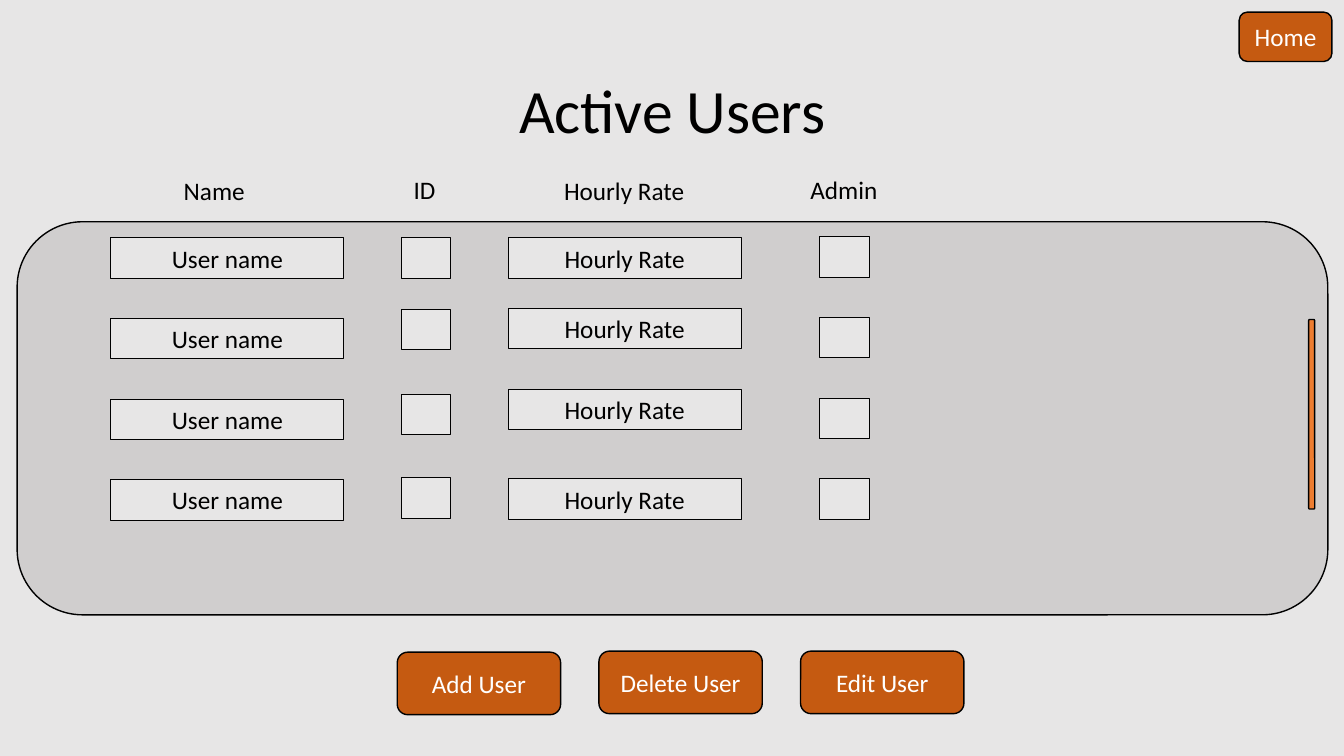
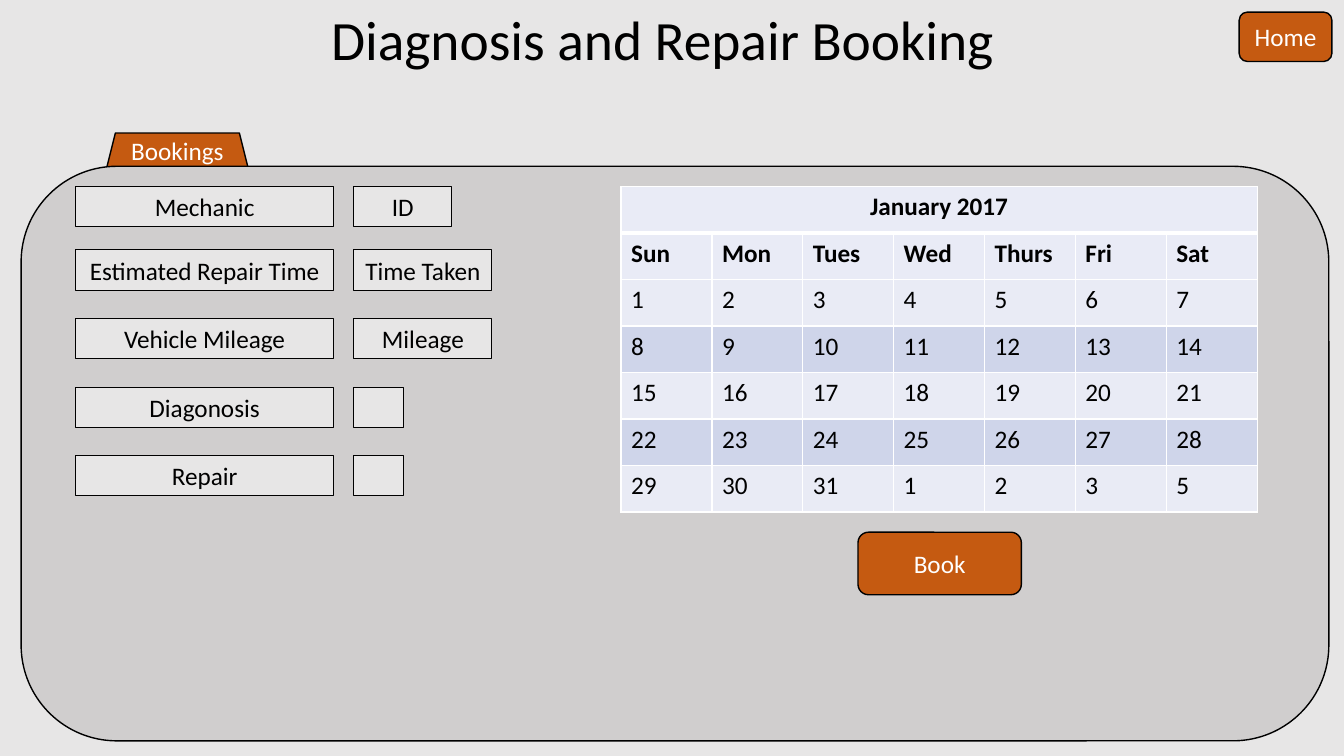
from pptx import Presentation
from pptx.dml.color import RGBColor
from pptx.enum.shapes import MSO_SHAPE
from pptx.enum.text import MSO_ANCHOR, MSO_AUTO_SIZE, PP_ALIGN
from pptx.oxml.ns import qn
from pptx.util import Inches, Pt
from lxml.etree import SubElement

FONT = "Calibri"
COLORS = {
    "page": "E7E6E6", "panel": "D0CECE", "button": "C55A11", "scroll": "ED7D31",
    "ink": "000000", "white": "FFFFFF",
    "header": "E9EBF6", "light": "E9EBF5", "dark": "CFD5EA",
}

# Column heading with its box, then cell text, left, width and row tops
USER_COLUMNS = [
    ("Name", (1.71, 1.69, 0.83), "User name", 1.1, 2.31, (2.36, 3.16, 3.96, 4.76)),
    ("ID", (3.75, 1.68, 0.92), "", 3.98, 0.49, (2.36, 3.07, 3.91, 4.74)),
    ("Hourly Rate", (5.32, 1.69, 1.74), "Hourly Rate", 5.04, 2.31, (2.36, 3.06, 3.86, 4.75)),
    ("Admin", (7.91, 1.68, 0.92), "", 8.13, 0.49, (2.35, 3.15, 3.95, 4.75)),
]
USER_BUTTONS = [("Add User", 6.47), ("Delete User", 6.46), ("Edit User", 6.46)]

# Label, value, value width, top
BOOKING_FIELDS = [
    ("Mechanic", "ID", 0.97, 1.85),
    ("Estimated Repair Time", "Time Taken", 1.37, 2.48),
    ("Vehicle Mileage", "Mileage", 1.37, 3.16),
    ("Diagonosis", "", 0.49, 3.84),
    ("Repair", "", 0.49, 4.52),
]
MONTH = "January 2017"
WEEKDAYS = ["Sun", "Mon", "Tues", "Wed", "Thurs", "Fri", "Sat"]
DAYS = [*range(1, 32), 1, 2, 3, 5]

FIELD_H = 0.4
BUTTON_W, BUTTON_H = 1.62, 0.62


def rgb(name):
    """Return a palette colour."""
    return RGBColor.from_string(COLORS[name])


def style(p, color="ink", size=18, bold=False, align=PP_ALIGN.CENTER):
    """Format a whole paragraph."""
    p.alignment = align
    p.font.name, p.font.size, p.font.bold = FONT, Pt(size), bold
    p.font.color.rgb = rgb(color)


def add_box(slide, kind, box, fill, text="", line=1, color="ink"):
    """Add a filled shape, with an outline unless line is 0."""
    sp = slide.shapes.add_shape(kind, *map(Inches, box))
    sp.shadow.inherit = False
    sp.fill.solid()
    sp.fill.fore_color.rgb = rgb(fill)
    if line:
        sp.line.color.rgb = rgb("ink")
        sp.line.width = Pt(line)
    else:
        sp.line.fill.background()
    if text:
        tf = sp.text_frame
        tf.word_wrap = False
        tf.text = text
        style(tf.paragraphs[0], color)


def add_field(slide, left, top, width, text="", line=0.75):
    """Add a one-line form field or heading."""
    add_box(slide, MSO_SHAPE.RECTANGLE, (left, top, width, FIELD_H), "page", text, line)


def add_button(slide, text, left, top, width=BUTTON_W, height=BUTTON_H):
    """Add an orange rounded button."""
    add_box(slide, MSO_SHAPE.ROUNDED_RECTANGLE, (left, top, width, height),
            "button", text, color="white")


def add_panel(slide, *box):
    """Add the large rounded panel."""
    add_box(slide, MSO_SHAPE.ROUNDED_RECTANGLE, box, "panel")


def add_page(prs, title, box, size):
    """Add a slide with its title and Home button."""
    slide = prs.slides.add_slide(prs.slide_layouts[5])
    sp = slide.shapes.title
    sp.left, sp.top, sp.width, sp.height = map(Inches, box)
    tf = sp.text_frame
    tf.text = title
    tf.word_wrap = True
    tf.auto_size = MSO_AUTO_SIZE.NONE
    tf.vertical_anchor = MSO_ANCHOR.MIDDLE
    p = tf.paragraphs[0]
    style(p, size=size)
    p.line_spacing = 0.9
    add_button(slide, "Home", 12.29, 0.12, 0.92, 0.49)
    return slide


def add_borders(cell, top=1, bottom=1):
    """Draw white cell borders with the given top and bottom widths."""
    tc_pr = cell._tc.get_or_add_tcPr()
    for side, width in (("L", 1), ("R", 1), ("T", top), ("B", bottom)):
        ln = SubElement(tc_pr, qn(f"a:ln{side}"), w=str(Pt(width)))
        fill = SubElement(ln, qn("a:solidFill"))
        SubElement(fill, qn("a:srgbClr"), val=COLORS["white"])


def add_calendar(slide, left, top, width, height):
    """Add the month table with a merged heading and banded weeks."""
    n = len(WEEKDAYS)
    weeks = [DAYS[i:i + n] for i in range(0, len(DAYS), n)]
    rows = [[MONTH] + [""] * (n - 1), WEEKDAYS, *weeks]
    table = slide.shapes.add_table(
        len(rows), n, *map(Inches, (left, top, width, height))).table
    table.cell(0, 0).merge(table.cell(0, n - 1))
    for i, row in enumerate(rows):
        fill = "header" if i < 2 else ("dark" if i % 2 else "light")
        for j, value in enumerate(row):
            cell = table.cell(i, j)
            add_borders(cell, top=3 if i == 1 else 1, bottom=3 if i == 0 else 1)
            cell.fill.solid()
            cell.fill.fore_color.rgb = rgb(fill)
            cell.text = str(value)
            style(cell.text_frame.paragraphs[0], bold=i < 2,
                  align=PP_ALIGN.LEFT if i else PP_ALIGN.CENTER)


def build_users(prs):
    """Build the active users slide."""
    slide = add_page(prs, "Active Users", (0.92, 0.4, 11.5, 1.45), 44)
    add_panel(slide, 0.17, 2.2, 13, 3.9)
    add_box(slide, MSO_SHAPE.ROUNDED_RECTANGLE, (12.98, 3.17, 0.06, 1.88), "scroll")
    for heading, heading_box, text, left, width, tops in USER_COLUMNS:
        add_field(slide, *heading_box, heading, line=0)
        for top in tops:
            add_field(slide, left, top, width, text)
    for i, (text, top) in enumerate(USER_BUTTONS):
        add_button(slide, text, 3.94 + 2 * i, top)


def build_booking(prs):
    """Build the diagnosis and repair booking slide."""
    slide = add_page(prs, "Diagnosis and Repair Booking", (2.71, 0.12, 7.72, 0.6), 39.6)
    add_box(slide, MSO_SHAPE.TRAPEZOID, (1.06, 1.32, 1.4, 0.34),
            "button", "Bookings", color="white")
    add_panel(slide, 0.21, 1.65, 12.97, 5.7)
    for label, value, width, top in BOOKING_FIELDS:
        add_field(slide, 0.75, top, 2.56, label)
        add_field(slide, 3.51, top, width, value)
    add_calendar(slide, 6.16, 1.85, 6.31, 3.23)
    add_button(slide, "Book", 8.51, 5.28)


prs = Presentation()
prs.slide_width, prs.slide_height = Inches(13.33), Inches(7.5)
background = prs.slide_master.background.fill
background.solid()
background.fore_color.rgb = rgb("page")
build_users(prs)
build_booking(prs)
prs.save("out.pptx")
